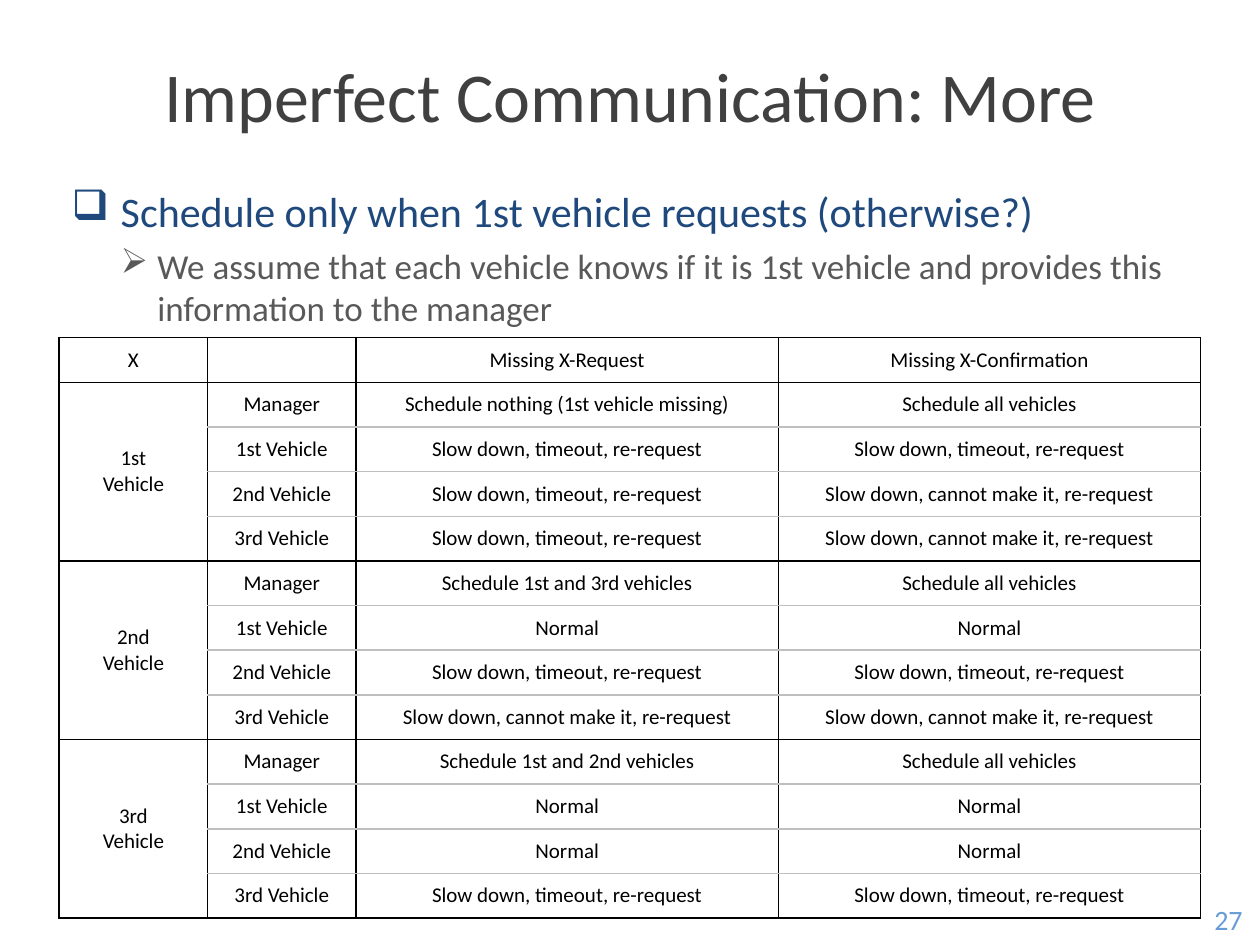
from collections import namedtuple
from dataclasses import dataclass

from lxml import etree
from pptx import Presentation
from pptx import util as u
from pptx.dml.color import RGBColor
from pptx.enum import text
from pptx.oxml import ns

Box = namedtuple("Box", "x y w h")


@dataclass(frozen=True)
class Theme:
    """Hold the colours and type sizes of the slide."""
    font: str = "Calibri"
    title: str = "404040"
    point: str = "1F497D"
    detail: str = "595959"
    number: str = "679CD6"
    ink: str = "000000"
    rule: str = "BFBFBF"
    title_pt: int = 40
    point_pt: int = 24
    detail_pt: int = 20
    number_pt: int = 16
    cell_pt: int = 12
    rule_pt: int = 1


T = Theme()
TIMEOUT = "Slow down, timeout, re-request"
LATE = "Slow down, cannot make it, re-request"
ALL = "Schedule all vehicles"
OK = "Normal"
VEHICLES = ["1st", "2nd", "3rd"]
ROLES = ["Manager"] + [f"{v} Vehicle" for v in VEHICLES]
HEADER = ["X", "", "Missing X-Request", "Missing X-Confirmation"]
OUTCOMES = [
    [("Schedule nothing (1st vehicle missing)", ALL), (TIMEOUT, TIMEOUT),
     (TIMEOUT, LATE), (TIMEOUT, LATE)],
    [("Schedule 1st and 3rd vehicles", ALL), (OK, OK),
     (TIMEOUT, TIMEOUT), (LATE, LATE)],
    [("Schedule 1st and 2nd vehicles", ALL), (OK, OK),
     (OK, OK), (TIMEOUT, TIMEOUT)],
]
COLUMN_SHARES = [0.13, 0.13, 0.37, 0.37]


def add_run(p, words, size, color):
    """Add one styled run to a paragraph."""
    r = p.add_run()
    r.text = words
    r.font.name, r.font.size = T.font, u.Pt(size)
    r.font.color.rgb = RGBColor.from_string(color)


def add_frame(slide, box, anchor):
    """Add a wrapping text box and return its text frame."""
    tf = slide.shapes.add_textbox(*box).text_frame
    tf.word_wrap = True
    tf.vertical_anchor = anchor
    return tf


def add_label(slide, box, words, size, color):
    """Place one centred line in the middle of a box."""
    p = add_frame(slide, box, text.MSO_ANCHOR.MIDDLE).paragraphs[0]
    p.alignment = text.PP_ALIGN.CENTER
    add_run(p, words, size, color)


def set_bullet(p, mark, left, hang):
    """Give a paragraph a hanging bullet."""
    pPr = p._p.get_or_add_pPr()
    pPr.set("marL", str(u.Inches(left)))
    pPr.set("indent", str(-u.Inches(hang)))
    etree.SubElement(pPr, ns.qn("a:buChar")).set("char", mark)


def add_points(slide, box):
    """Place the main point and its detail."""
    tf = add_frame(slide, box, text.MSO_ANCHOR.TOP)
    p = tf.paragraphs[0]
    set_bullet(p, "❑", 0.39, 0.39)
    add_run(p, "Schedule only when 1st vehicle requests (otherwise?)",
            T.point_pt, T.point)
    p = tf.add_paragraph()
    p.level = 1
    p.space_before = u.Pt(5)
    set_bullet(p, "➢", 0.68, 0.29)
    add_run(p, "We assume that each vehicle knows if it is 1st vehicle and "
            "provides this information to the manager", T.detail_pt, T.detail)


def set_borders(cell, colors):
    """Draw the left, right, top and bottom borders of a cell."""
    tcPr = cell._tc.get_or_add_tcPr()
    for side, color in zip("LRTB", colors):
        ln = etree.SubElement(tcPr, ns.qn(f"a:ln{side}"), w=str(u.Pt(T.rule_pt)))
        fill = etree.SubElement(ln, ns.qn("a:solidFill"))
        etree.SubElement(fill, ns.qn("a:srgbClr"), val=color)


def fill_cell(cell, words, colors):
    """Write centred lines in a clear cell with borders."""
    set_borders(cell, colors)
    cell.fill.background()
    cell.vertical_anchor = text.MSO_ANCHOR.MIDDLE
    cell.margin_left = cell.margin_right = u.Inches(0.04)
    cell.margin_top = cell.margin_bottom = u.Inches(0.04)
    p = cell.text_frame.paragraphs[0]
    p.alignment = text.PP_ALIGN.CENTER
    p._p.get_or_add_endParaRPr().set("sz", str(T.cell_pt * 100))
    for i, line in enumerate(words.split("\n") if words else []):
        if i:
            p.add_line_break()
        add_run(p, line, T.cell_pt, T.ink)


def add_outcomes(slide, box):
    """Place the table of outcomes, one block of roles per vehicle."""
    rows = [HEADER]
    for vehicle, block in zip(VEHICLES, OUTCOMES):
        for i, (role, pair) in enumerate(zip(ROLES, block)):
            rows.append(["" if i else f"{vehicle}\nVehicle", role, *pair])
    n = len(ROLES)
    tbl = slide.shapes.add_table(len(rows), len(HEADER), *box).table
    tbl.first_row = tbl.horz_banding = False
    for column, share in zip(tbl.columns, COLUMN_SHARES):
        column.width = int(box.w * share)
    for i, row in enumerate(rows):
        tbl.rows[i].height = int(box.h / len(rows))
        for j, words in enumerate(row):
            top = T.ink if j == 0 or i == 0 or i % n == 1 else T.rule
            bottom = T.ink if j == 0 or i % n == 0 else T.rule
            fill_cell(tbl.cell(i, j), words, (T.ink, T.ink, top, bottom))
    for first in range(1, len(rows), n):
        tbl.cell(first, 0).merge(tbl.cell(first + n - 1, 0))


def main():
    """Build the slide and save it."""
    prs = Presentation()
    prs.slide_width, prs.slide_height = u.Inches(10), u.Inches(7.5)
    slide = prs.slides.add_slide(prs.slide_layouts[6])

    def share(x, y, w, h):
        """Turn shares of the slide's size into a box."""
        W, H = prs.slide_width, prs.slide_height
        return Box(int(x * W), int(y * H), int(w * W), int(h * H))

    left, width = 0.47 / 10, 9.06 / 10
    add_label(slide, share(left, 0.28 / 7.5, width, 0.94 / 7.5),
              "Imperfect Communication: More", T.title_pt, T.title)
    add_points(slide, share(left, 1.42 / 7.5, width, 5.67 / 7.5))
    add_label(slide, share(0.95, 7.1 / 7.5, 0.05, 0.4 / 7.5),
              "27", T.number_pt, T.number)
    add_outcomes(slide, share(left, 2.68 / 7.5, width, 4.61 / 7.5))
    prs.save("out.pptx")


if __name__ == "__main__":
    main()
